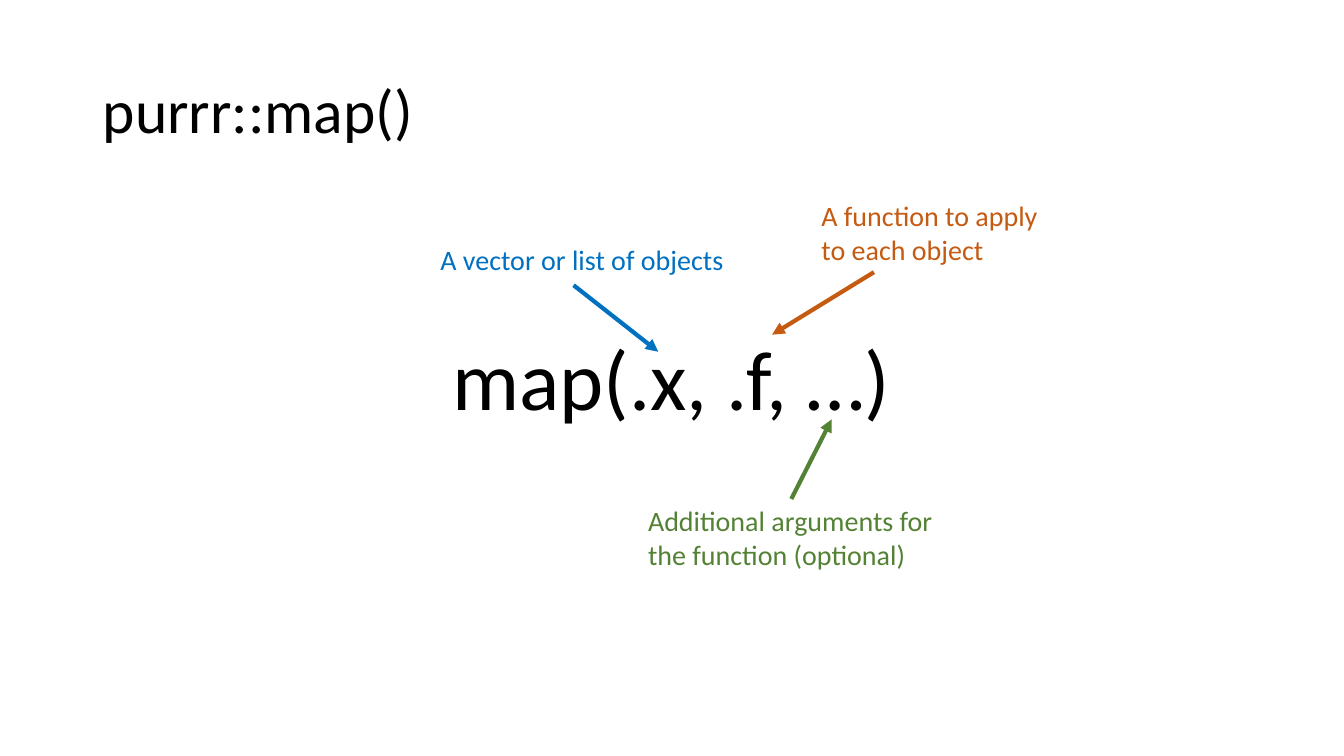
from lxml.etree import SubElement
from pptx import Presentation
from pptx.dml.color import RGBColor
from pptx.enum.shapes import MSO_CONNECTOR
from pptx.enum.text import MSO_ANCHOR, MSO_AUTO_SIZE, PP_ALIGN
from pptx.oxml.ns import qn
from pptx.util import Inches, Pt

WIDTH, HEIGHT = Inches(13.333), Inches(7.5)
COLORS = {"text": "000000", "vector": "0070C0",
          "function": "C55A11", "extras": "548235"}

# Places are percentages of the slide's width and height.
TITLE_BOX = (6.9, 5.33, 86.25, 19.33)
FORMULA_BOX = (32.93, 42.53, 34.2, 14.8)
# Text, colour, label box, arrow start and end
ANNOTATIONS = [
    ("A vector or list of objects", "vector",
     (32.03, 31.47, 24, 5.87), (42.68, 37.73, 48.98, 46.53)),
    ("A function to apply to each object", "function",
     (60.38, 25.6, 18.6, 10.27), (65.03, 36, 57.45, 44.27)),
    ("Additional arguments for the function (optional)", "extras",
     (47.48, 66, 22.8, 10.27), (58.88, 66, 61.88, 55.47)),
]


def to_slide(shares):
    """Turn alternating horizontal and vertical percentages into lengths."""
    return [int(share / 100 * side)
            for share, side in zip(shares, (WIDTH, HEIGHT) * 2)]


def apply_format(target, values):
    for name, value in values.items():
        setattr(target, name, value)


def write_text(shape, text, size, color, frame_format, line_spacing=1.0):
    frame = shape.text_frame
    frame.text = text
    apply_format(frame, {"word_wrap": True, **frame_format})
    paragraph = frame.paragraphs[0]
    apply_format(paragraph, {"alignment": PP_ALIGN.LEFT,
                             "line_spacing": line_spacing})
    font = paragraph.runs[0].font
    apply_format(font, {"name": "Calibri", "size": Pt(size)})
    font.color.rgb = RGBColor.from_string(COLORS[color])


def add_title(slide, text):
    title = slide.shapes.title
    places = zip(("left", "top", "width", "height"), to_slide(TITLE_BOX))
    apply_format(title, dict(places))
    write_text(title, text, 44, "text",
               {"vertical_anchor": MSO_ANCHOR.MIDDLE,
                "auto_size": MSO_AUTO_SIZE.NONE}, 0.9)


def add_label(shapes, text, box, size, color):
    label = shapes.add_textbox(*to_slide(box))
    write_text(label, text, size, color,
               {"auto_size": MSO_AUTO_SIZE.SHAPE_TO_FIT_TEXT})


def add_arrow(shapes, ends, color):
    arrow = shapes.add_connector(MSO_CONNECTOR.STRAIGHT, *to_slide(ends))
    arrow.line.width = Pt(3)
    arrow.line.color.rgb = RGBColor.from_string(COLORS[color])
    # Arrowhead at the end, no theme shadow
    properties = arrow.line._get_or_add_ln()
    SubElement(properties, qn("a:tailEnd"), type="triangle")
    SubElement(properties.getparent(), qn("a:effectLst"))


def add_annotation(slide, text, color, box, ends):
    group = slide.shapes.add_group_shape()
    add_arrow(group.shapes, ends, color)
    add_label(group.shapes, text, box, 20, color)


def main():
    presentation = Presentation()
    apply_format(presentation, {"slide_width": WIDTH, "slide_height": HEIGHT})
    slide = presentation.slides.add_slide(presentation.slide_layouts[5])

    # Title and function call
    add_title(slide, "purrr::map()")
    add_label(slide.shapes, "map(.x, .f, …)", FORMULA_BOX, 60, "text")

    # One note with an arrow for each argument
    for annotation in ANNOTATIONS:
        add_annotation(slide, *annotation)

    presentation.save("out.pptx")


if __name__ == "__main__":
    main()
